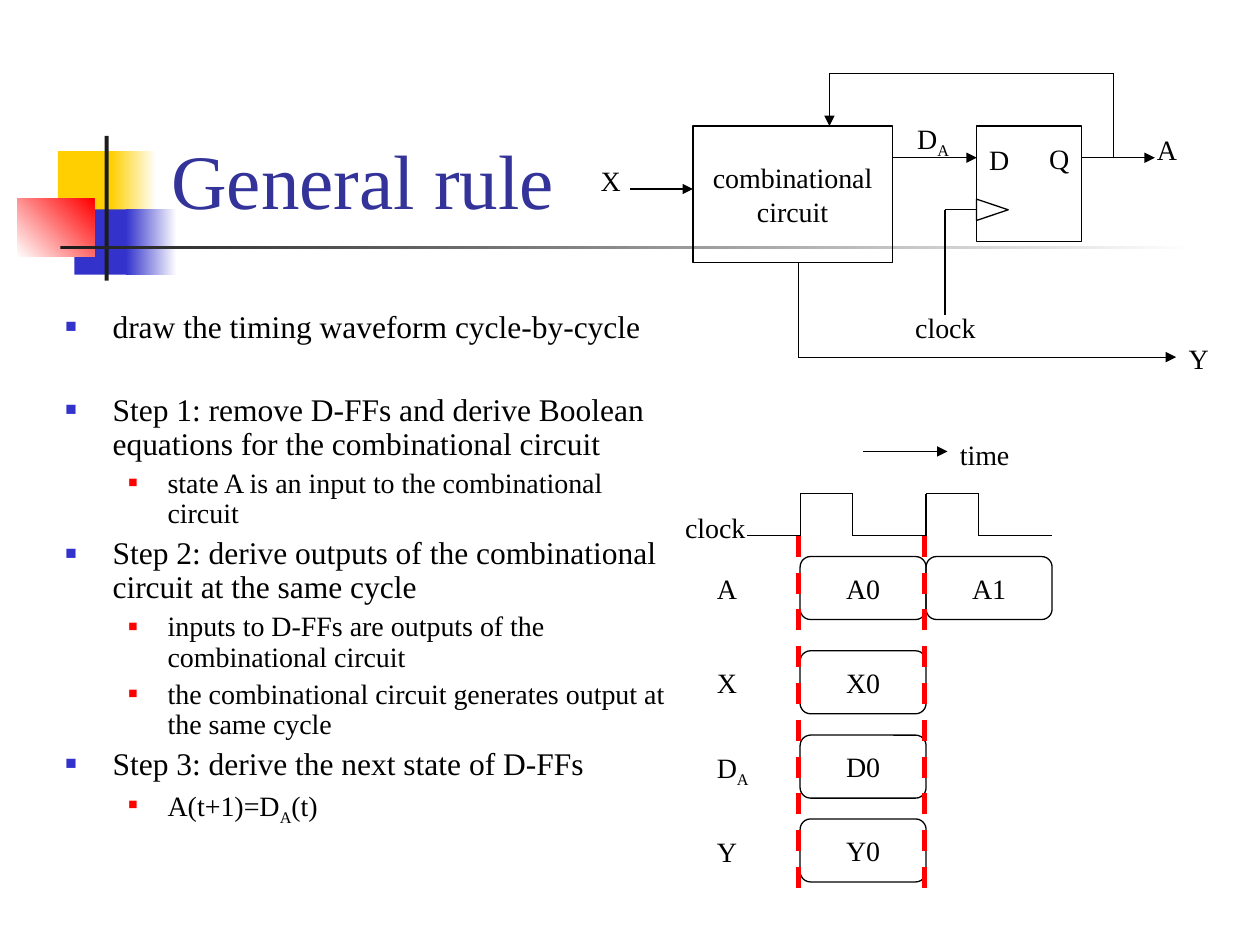
from itertools import pairwise

from lxml import etree
from pptx import Presentation
from pptx.dml.color import RGBColor
from pptx.enum.dml import MSO_LINE_DASH_STYLE as Dash
from pptx.enum.shapes import MSO_CONNECTOR as Connector, MSO_SHAPE as Shape
from pptx.enum.text import MSO_ANCHOR as Anchor, MSO_AUTO_SIZE as AutoSize, PP_ALIGN as Align
from pptx.oxml.ns import qn
from pptx.util import Cm, Pt

FONT = "Times New Roman"
BLACK = RGBColor(0x00, 0x00, 0x00)
WHITE = RGBColor(0xFF, 0xFF, 0xFF)
RED = RGBColor(0xFF, 0x00, 0x00)
YELLOW = RGBColor(0xFF, 0xCF, 0x01)
BLUE = RGBColor(0x33, 0x33, 0xCC)
TITLE_BLUE = RGBColor(0x33, 0x33, 0x99)
DARK = RGBColor(0x1C, 0x1C, 0x1C)

presentation = Presentation()
presentation.slide_width, presentation.slide_height = Cm(25.4), Cm(19.05)
slide = presentation.slides.add_slide(presentation.slide_layouts[5])
shapes = slide.shapes


def write(paragraph, text, size):
    """Fill a paragraph; every second part between underscores is a subscript."""
    for index, part in enumerate(text.split("_")):
        run = paragraph.add_run()
        run.text = part
        run.font.name, run.font.size = FONT, Pt(size)
        run.font.color.rgb = BLACK
        if index % 2:
            run.font._element.set("baseline", "-25000")


def wire(*points, arrow=False, color=BLACK, width=0.75):
    """Join the points with straight lines, the last one with an optional arrowhead."""
    for (x1, y1), (x2, y2) in pairwise(points):
        line = shapes.add_connector(Connector.STRAIGHT, Cm(x1), Cm(y1), Cm(x2), Cm(y2))
        line.line.color.rgb, line.line.width = color, Pt(width)
        etree.SubElement(line._element.spPr, qn("a:effectLst"))
    if arrow:
        etree.SubElement(line.line._get_or_add_ln(), qn("a:tailEnd"), type="triangle")
    return line


# Corner ornament and rule: left, top, width, height, colours, angle
ornaments = [
    (1.17, 3.05, 1.22, 1.32, [YELLOW], 0),
    (2.24, 3.05, 0.91, 1.32, [YELLOW, WHITE], 0),
    (1.5, 4.22, 1.17, 1.32, [BLUE], 0),
    (2.54, 4.22, 1.02, 1.32, [BLUE, WHITE], 0),
    (0.35, 4.01, 1.55, 1.17, [WHITE, RED], 45),
    (2.11, 2.74, 0.08, 2.92, [DARK], 0),
    (1.22, 4.95, 22.86, 0.08, [DARK, WHITE], 0),
]
for left, top, width, height, colors, angle in ornaments:
    ornament = shapes.add_shape(Shape.RECTANGLE, Cm(left), Cm(top), Cm(width), Cm(height))
    ornament.shadow.inherit = False
    ornament.line.fill.background()
    if len(colors) == 1:
        ornament.fill.solid()
        ornament.fill.fore_color.rgb = colors[0]
    else:
        ornament.fill.gradient()
        ornament.fill.gradient_angle = angle
        for stop, color in zip(ornament.fill.gradient_stops, colors):
            stop.color.rgb = color

# Title
title = shapes.title
title.left, title.top, title.width, title.height = Cm(3.2), Cm(0.6), Cm(21.64), Cm(4.06)
title.text_frame.text = "General rule"
title.text_frame.vertical_anchor = Anchor.BOTTOM
heading = title.text_frame.paragraphs[0]
heading.alignment = Align.LEFT
heading.font.name, heading.font.size = FONT, Pt(44)
heading.font.color.rgb = TITLE_BLUE

# Steps: level, space before, text
steps = [
    (0, 0, "draw the timing waveform cycle-by-cycle"),
    (0, 28, "Step 1: remove D-FFs and derive Boolean equations for the combinational circuit"),
    (1, 4, "state A is an input to the combinational circuit"),
    (0, 4.5, "Step 2: derive outputs of the combinational circuit at the same cycle"),
    (1, 4, "inputs to D-FFs are outputs of the combinational circuit"),
    (1, 4, "the combinational circuit generates output at the same cycle"),
    (0, 4.5, "Step 3: derive the next state of D-FFs"),
    (1, 4, "A(t+1)=D_A_(t)"),
]
# Per level: text size, left margin, hanging indent, bullet colour, bullet size
levels = [(18, 0.95, 0.95, BLUE, 60), (16, 2.06, 0.79, RED, 55)]
body = shapes.add_textbox(Cm(1.07), Cm(6.15), Cm(12.9), Cm(11.43)).text_frame
body.word_wrap = True
for index, (level, space, text) in enumerate(steps):
    size, margin, hanging, color, percent = levels[level]
    paragraph = body.add_paragraph() if index else body.paragraphs[0]
    properties = paragraph._p.get_or_add_pPr()
    properties.set("marL", str(Cm(margin)))
    properties.set("indent", str(-Cm(hanging)))
    bullet_color = etree.SubElement(properties, qn("a:buClr"))
    etree.SubElement(bullet_color, qn("a:srgbClr"), val=str(color))
    etree.SubElement(properties, qn("a:buSzPct"), val=str(percent * 1000))
    etree.SubElement(properties, qn("a:buFont"), typeface=FONT)
    etree.SubElement(properties, qn("a:buChar"), char="■")
    paragraph.level = level
    paragraph.line_spacing = 0.9
    paragraph.space_before = Pt(space)
    write(paragraph, text, size)

# Outlined blocks: preset, left, top, width, height, lines of text
SIGNAL_LEFT, CYCLE = 16.13, 2.54
signal_tops = {"A": 11.22, "X": 13.12, "D_A": 14.82, "Y": 16.51}
blocks = [
    (Shape.RECTANGLE, 13.97, 2.54, 4.02, 2.75, ["combinational", "circuit"]),
    (Shape.RECTANGLE, 19.69, 2.54, 2.12, 2.33, []),
    (Shape.ISOSCELES_TRIANGLE, 19.79, 3.91, 0.43, 0.64, []),
]
for signal, cycle in [("A", 0), ("A", 1), ("X", 0), ("D_A", 0), ("Y", 0)]:
    blocks.append((Shape.ROUNDED_RECTANGLE, SIGNAL_LEFT + cycle * CYCLE, signal_tops[signal],
                   CYCLE, 1.27, [f"{signal[0]}{cycle}"]))
for preset, left, top, width, height, lines in blocks:
    block = shapes.add_shape(preset, Cm(left), Cm(top), Cm(width), Cm(height))
    block.shadow.inherit = False
    block.fill.background()
    block.line.color.rgb, block.line.width = BLACK, Pt(0.75)
    if preset == Shape.ISOSCELES_TRIANGLE:
        block.rotation = 90
    frame = block.text_frame
    frame.word_wrap = False
    frame.vertical_anchor = Anchor.MIDDLE
    for index, text in enumerate(lines):
        paragraph = frame.add_paragraph() if index else frame.paragraphs[0]
        paragraph.alignment = Align.CENTER
        write(paragraph, text, 16)

# Circuit wiring
wire((12.7, 3.81), (13.97, 3.81), arrow=True)
wire((17.99, 3.18), (19.69, 3.18), arrow=True)
wire((21.8, 3.18), (23.28, 3.18), arrow=True)
wire((22.44, 3.18), (22.44, 1.48), (16.72, 1.48), (16.72, 2.54), arrow=True)
wire((19.69, 4.23), (19.05, 4.23), (19.05, 6.35))
wire((16.09, 5.29), (16.09, 7.2), (23.71, 7.2), arrow=True)

# Timing diagram
LOW, HIGH, PULSE = 10.8, 9.95, 1.06
wire((17.4, 9.1), (19.1, 9.1), arrow=True)
clock = [(15.06, LOW)]
for cycle in range(2):
    rise = SIGNAL_LEFT + cycle * CYCLE
    clock += [(rise, LOW), (rise, HIGH), (rise + PULSE, HIGH), (rise + PULSE, LOW)]
wire(*clock, (SIGNAL_LEFT + 2 * CYCLE, LOW))
for cycle in range(2):
    edge = 16.09 + cycle * CYCLE
    marker = wire((edge, LOW), (edge, 17.99), color=RED, width=3)
    marker.line.dash_style = Dash.DASH

# Labels: text, left, top, width
SUBSCRIPT_WIDTH = 1.35
labels = [
    ("D", 19.69, 2.75, 0.92),
    ("Q", 20.9, 2.72, 0.92),
    ("clock", 18.2, 6.14, 1.73),
    ("A", 23.07, 2.54, 0.92),
    ("D_A", 18.24, 2.33, SUBSCRIPT_WIDTH),
    ("Y", 23.71, 6.77, 0.92),
    ("X", 11.86, 3.18, 0.92),
    ("time", 19.1, 8.69, 1.5),
    ("clock", 13.56, 10.16, 1.73),
]
labels += [(signal, 14.2, top + 0.18, SUBSCRIPT_WIDTH if "_" in signal else 0.92)
           for signal, top in signal_tops.items()]
for text, left, top, width in labels:
    frame = shapes.add_textbox(Cm(left), Cm(top), Cm(width), Cm(0.94)).text_frame
    frame.word_wrap = False
    frame.auto_size = AutoSize.SHAPE_TO_FIT_TEXT
    write(frame.paragraphs[0], text, 16)

presentation.save("out.pptx")
